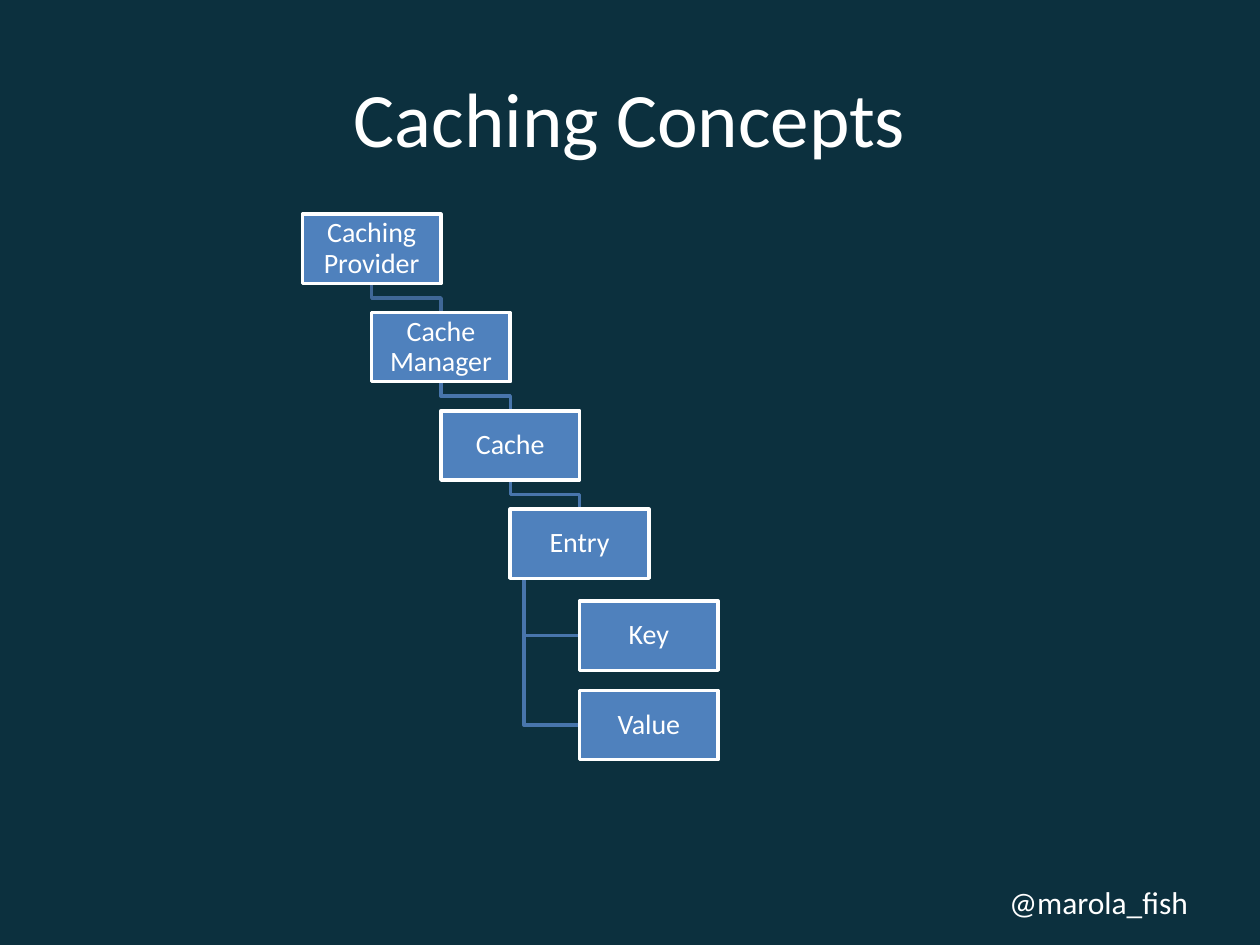
"""Build the Caching Concepts slide: a stepped hierarchy of caching terms."""
from pptx import Presentation
from pptx.dml.color import RGBColor
from pptx.enum.shapes import MSO_SHAPE
from pptx.enum.text import MSO_ANCHOR, PP_ALIGN
from pptx.util import Inches, Pt

TITLE = "Caching Concepts"
HANDLE = "@marola_fish"
CHAIN = ["Caching Provider", "Cache Manager", "Cache", "Entry"]
LEAVES = ["Key", "Value"]

BACKGROUND, WHITE, BOX_FILL = "0C303E", "FFFFFF", "4F81BD"
TOP_LINK, LINK = "3F6797", "4875AC"
LEFT, TOP, BOX_W, BOX_H = 2.4, 1.7, 1.1, 0.55
STEP_X, STEP_Y = 0.55, 0.78
LEAF_TOP, LEAF_STEP, SPINE_INSET = 4.77, 0.71, 0.11


def rgb(value):
    """Turn a hex string into a colour."""
    return RGBColor.from_string(value)


def write(shape, text, size, align, **frame):
    """Put one formatted line of text into a shape."""
    tf = shape.text_frame
    for name, value in frame.items():
        setattr(tf, name, value)
    p = tf.paragraphs[0]
    p.alignment = align
    r = p.add_run()
    r.text = text
    for name, value in {"name": "Calibri", "size": Pt(size)}.items():
        setattr(r.font, name, value)
    r.font.color.rgb = rgb(WHITE)
    return p


def outline(shape, color):
    """Give a shape a plain two-point line and no shadow."""
    shape.shadow.inherit = False
    shape.line.color.rgb = rgb(color)
    shape.line.width = Pt(2)


def add_link(s, points, color):
    """Draw an open bent line through the points."""
    start, *rest = [(Inches(x), Inches(y)) for x, y in points]
    builder = s.shapes.build_freeform(*start)
    builder.add_line_segments(rest, close=False)
    link = builder.convert_to_shape()
    link.fill.background()
    outline(link, color)


def add_box(s, text, x, y):
    """Draw one labelled box."""
    box = s.shapes.add_shape(MSO_SHAPE.RECTANGLE, *map(Inches, (x, y, BOX_W, BOX_H)))
    box.fill.solid()
    box.fill.fore_color.rgb = rgb(BOX_FILL)
    outline(box, WHITE)
    margins = {f"margin_{side}": Inches(0.01) for side in ("left", "top", "right", "bottom")}
    p = write(box, text, 16, PP_ALIGN.CENTER, word_wrap=True,
              vertical_anchor=MSO_ANCHOR.MIDDLE, **margins)
    p.line_spacing = 0.9


def main():
    """Build and save the slide."""
    prs = Presentation()
    prs.slide_width, prs.slide_height = Inches(10), Inches(7.5)
    s = prs.slides.add_slide(prs.slide_layouts[5])
    s.background.fill.solid()
    s.background.fill.fore_color.rgb = rgb(BACKGROUND)

    title = s.shapes.title
    title.left, title.top, title.width, title.height = map(Inches, (0.5, 0.3, 9, 1.25))
    write(title, TITLE, 44, PP_ALIGN.CENTER, vertical_anchor=MSO_ANCHOR.MIDDLE)
    handle = s.shapes.add_textbox(*map(Inches, (7.91, 6.96, 1.71, 0.4)))
    write(handle, HANDLE, 18, PP_ALIGN.LEFT, word_wrap=False)

    chain = [(LEFT + i * STEP_X, TOP + i * STEP_Y) for i in range(len(CHAIN))]
    entry_x, entry_y = chain[-1]
    leaves = [(entry_x + STEP_X, LEAF_TOP + i * LEAF_STEP) for i in range(len(LEAVES))]

    spine = entry_x + SPINE_INSET
    for x, y in reversed(leaves):
        middle = y + BOX_H / 2
        add_link(s, [(spine, entry_y + BOX_H), (spine, middle), (x, middle)], LINK)
    for i, ((x1, y1), (x2, y2)) in enumerate(zip(chain, chain[1:])):
        start, end = x1 + BOX_W / 2, x2 + BOX_W / 2
        bend = (y1 + BOX_H + y2) / 2
        points = [(start, y1 + BOX_H), (start, bend), (end, bend), (end, y2)]
        add_link(s, points, LINK if i else TOP_LINK)

    for text, (x, y) in zip(CHAIN + LEAVES, chain + leaves):
        add_box(s, text, x, y)
    prs.save("out.pptx")


if __name__ == "__main__":
    main()
